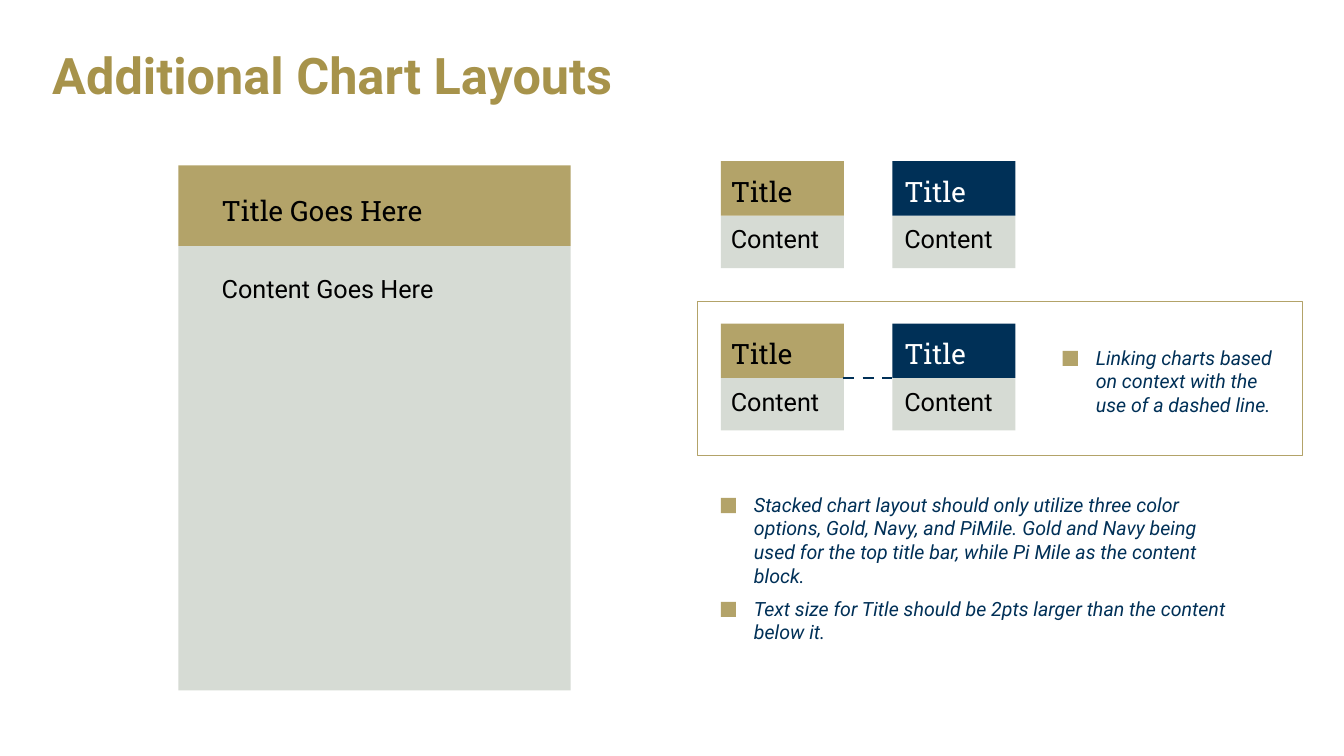
from dataclasses import dataclass

from lxml import etree
from pptx import Presentation
from pptx import util as u
from pptx.dml.color import RGBColor
from pptx.enum import dml, shapes, text
from pptx.oxml.ns import qn


@dataclass(frozen=True)
class Theme:
    """Colours, fonts and type sizes of the slide."""
    heading: str = "A7934B"
    gold: str = "B3A369"
    navy: str = "003057"
    pi_mile: str = "D6DBD4"
    black: str = "000000"
    white: str = "FFFFFF"
    sans: str = "Roboto"
    slab: str = "Roboto Slab"
    heading_size: int = 36
    title_size: int = 20
    content_size: int = 18
    note_size: int = 14


class ChartLayoutSlide:
    """Draws the elements of one slide in one theme."""

    def __init__(self, prs, theme):
        self.theme = theme
        self.slide = prs.slides.add_slide(prs.slide_layouts[6])

    def rect(self, x, y, w, h, fill=None, line=None):
        """Add a rectangle with an optional fill or outline."""
        sp = self.slide.shapes.add_shape(
            shapes.MSO_SHAPE.RECTANGLE, *map(u.Inches, (x, y, w, h)))
        sp.shadow.inherit = False
        if fill:
            sp.fill.solid()
            sp.fill.fore_color.rgb = RGBColor.from_string(fill)
        else:
            sp.fill.background()
        if line:
            sp.line.color.rgb = RGBColor.from_string(line)
            sp.line.width = u.Pt(1)
        else:
            sp.line.fill.background()

    def label(self, x, y, w, h, words, size, color, font=None, italic=False):
        """Add a wrapping text box and return its paragraph."""
        tf = self.slide.shapes.add_textbox(*map(u.Inches, (x, y, w, h))).text_frame
        tf.word_wrap = True
        p = tf.paragraphs[0]
        p.text = words
        p.font.name = font or self.theme.sans
        p.font.size = u.Pt(size)
        p.font.italic = italic
        p.font.color.rgb = RGBColor.from_string(color)
        return p

    def heading(self, x, y, w, h, words):
        """Add the bold slide heading, centred vertically in its box."""
        t = self.theme
        p = self.label(x, y, w, h, words, t.heading_size, t.heading)
        p.font.bold = True
        p.line_spacing = 0.9
        tf = self.slide.shapes[-1].text_frame
        tf.vertical_anchor = text.MSO_ANCHOR.MIDDLE

    def stack(self, x, y, w, bar_h, body_h, title, content, bar, ink,
              text_x, title_y, content_y, text_w):
        """Add a title bar above a content block; text places are offsets."""
        t = self.theme
        self.rect(x, y + bar_h, w, body_h, t.pi_mile)
        self.rect(x, y, w, bar_h, bar)
        self.label(x + text_x, y + content_y, text_w, 0.4, content,
                   t.content_size, t.black)
        self.label(x + text_x, y + title_y, text_w, 0.44, title,
                   t.title_size, ink, t.slab)

    def note(self, x, y, w, h, words):
        """Add an italic note beside a gold square marker."""
        t = self.theme
        self.label(x + 0.23, y, w, h, words, t.note_size, t.navy, italic=True)
        self.rect(x, y + 0.1, 0.15, 0.15, t.gold)

    def dashed_link(self, x1, x2, y):
        """Add a horizontal dashed line."""
        line = self.slide.shapes.add_connector(
            shapes.MSO_CONNECTOR.STRAIGHT, *map(u.Inches, (x1, y, x2, y)))
        line.line.color.rgb = RGBColor.from_string(self.theme.navy)
        line.line.width = u.Pt(2)
        line.line.dash_style = dml.MSO_LINE.DASH
        etree.SubElement(line._element.spPr, qn("a:effectLst"))


def main():
    """Build and save the slide."""
    prs = Presentation()
    prs.slide_width, prs.slide_height = u.Inches(13.33), u.Inches(7.5)
    t = Theme()
    s = ChartLayoutSlide(prs, t)

    s.heading(0.42, 0.22, 12.5, 1.11, "Additional Chart Layouts")
    s.stack(1.77, 1.64, 3.89, 0.8, 4.41, "Title Goes Here", "Content Goes Here",
            t.gold, t.black, 0.33, 0.23, 1.02, 3.19)

    small_stacks = ((7.15, t.gold, t.black, 0), (8.85, t.navy, t.white, 0.02))
    for y in (1.6, 3.21):
        for x, bar, ink, text_x in small_stacks:
            s.stack(x, y, 1.22, 0.54, 0.52, "Title", "Content",
                    bar, ink, text_x, 0.08, 0.57, 1.22)

    s.note(7.15, 4.84, 4.9, 1.04,
           "Stacked chart layout should only utilize three color options, Gold, "
           "Navy, and PiMile. Gold and Navy being used for the top title bar, "
           "while Pi Mile as the content block.")
    s.note(7.15, 5.87, 4.9, 0.57,
           "Text size for Title should be 2pts larger than the content below it.")
    s.note(10.54, 3.38, 2.06, 0.81,
           "Linking charts based on context with the use of a dashed line.")
    s.rect(6.92, 2.99, 6, 1.53, line=t.gold)
    s.dashed_link(8.36, 8.85, 3.75)
    prs.save("out.pptx")


if __name__ == "__main__":
    main()
